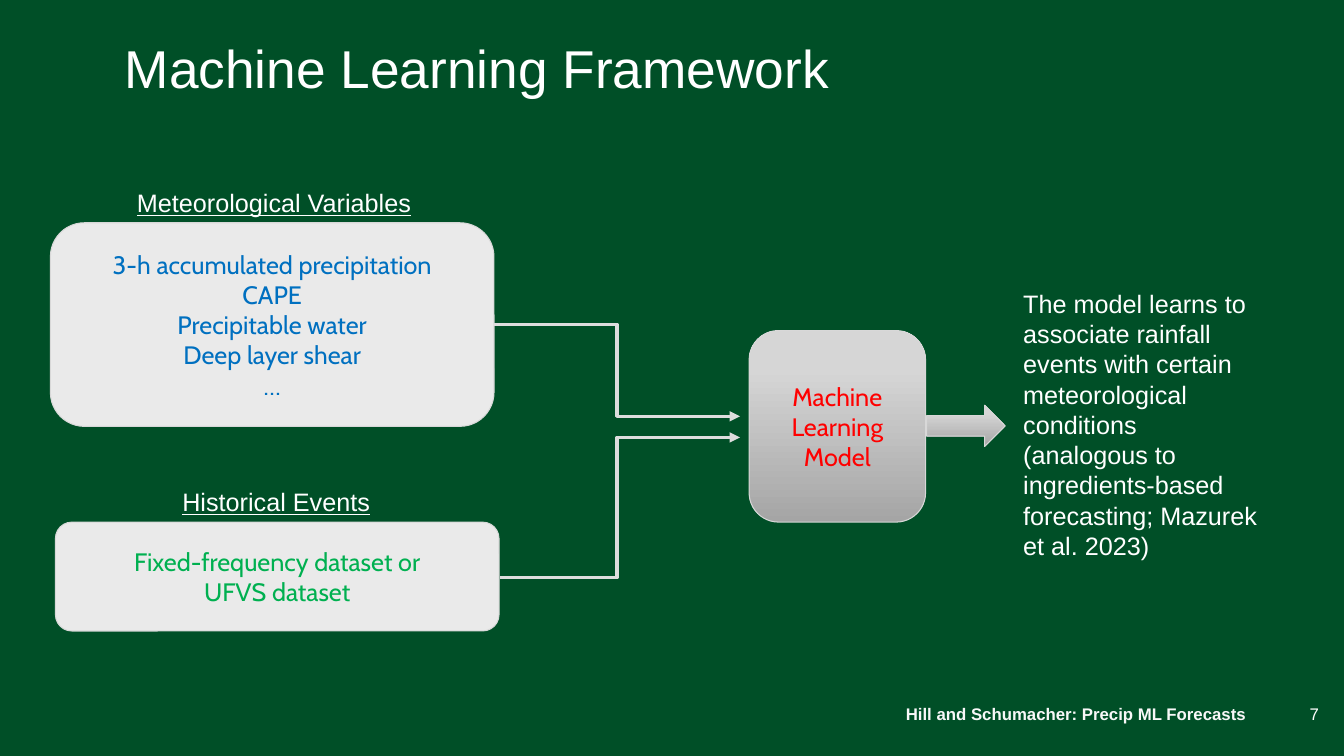
from dataclasses import dataclass
from lxml.etree import SubElement
from pptx import Presentation
from pptx.dml.color import RGBColor
from pptx.enum.shapes import MSO_CONNECTOR, MSO_SHAPE
from pptx.enum.text import MSO_ANCHOR, MSO_AUTO_SIZE, PP_ALIGN
from pptx.oxml.ns import qn
from pptx.shapes.autoshape import Shape
from pptx.slide import Slide
from pptx.util import Inches, Pt

GREEN_BACKGROUND = RGBColor(0x00, 0x4F, 0x27)
WHITE = RGBColor(0xFF, 0xFF, 0xFF)
OFF_WHITE = RGBColor(0xF8, 0xF8, 0xF8)
PANEL = RGBColor(0xEA, 0xEA, 0xEA)
OUTLINE = RGBColor(0xD8, 0xD8, 0xD8)
CONNECTOR = RGBColor(0xDD, 0xDD, 0xDD)
BLUE = RGBColor(0x00, 0x70, 0xC0)
GREEN = RGBColor(0x00, 0xB0, 0x50)
RED = RGBColor(0xFF, 0x00, 0x00)
METAL_STOPS = (
    (0, RGBColor(0xA5, 0xA5, 0xA5)),
    (80, RGBColor(0xD6, 0xD6, 0xD6)),
    (100, RGBColor(0xD7, 0xD7, 0xD7)),
)


@dataclass(frozen=True)
class Area:
    left: float
    top: float
    width: float
    height: float

    def lengths(self) -> tuple[Inches, Inches, Inches, Inches]:
        return Inches(self.left), Inches(self.top), Inches(self.width), Inches(self.height)


@dataclass(frozen=True)
class Label:
    area: Area
    lines: tuple[str, ...]
    size: int = 18
    color: RGBColor = WHITE
    bold: bool = False
    underline: bool = False
    align: PP_ALIGN = PP_ALIGN.LEFT
    anchor: MSO_ANCHOR = MSO_ANCHOR.TOP
    wrap: bool = True
    grow: bool = False


@dataclass(frozen=True)
class Block:
    area: Area
    kind: MSO_SHAPE
    lines: tuple[str, ...] = ()
    color: RGBColor = WHITE
    corner: float | None = None
    metal: bool = False


@dataclass(frozen=True)
class Elbow:
    begin: tuple[float, float]
    end: tuple[float, float]
    bend: int


LABELS = (
    Label(Area(1.14, -0.11, 11.06, 1.14), ("Machine Learning Framework",), size=38,
          anchor=MSO_ANCHOR.BOTTOM),
    Label(Area(4.82, 6.88, 7.64, 0.4), ("Hill and Schumacher: Precip ML Forecasts",), size=12,
          color=OFF_WHITE, bold=True, align=PP_ALIGN.RIGHT, anchor=MSO_ANCHOR.MIDDLE),
    Label(Area(12.46, 6.88, 0.72, 0.4), ("7",), size=12,
          align=PP_ALIGN.RIGHT, anchor=MSO_ANCHOR.MIDDLE),
    Label(Area(1.26, 1.81, 3.04, 0.4), ("Meteorological Variables",), underline=True, grow=True),
    Label(Area(1.71, 4.78, 2.08, 0.4), ("Historical Events",), underline=True, wrap=False,
          grow=True),
    Label(Area(10.05, 2.81, 2.55, 2.83), (
        "The model learns to associate rainfall events with certain meteorological conditions",
        "(analogous to ingredients-based forecasting; Mazurek et al. 2023)",
    ), grow=True),
)

BLOCKS = (
    Block(Area(0.5, 2.21, 4.4, 2.02), MSO_SHAPE.ROUNDED_RECTANGLE, (
        "3-h accumulated precipitation",
        "CAPE",
        "Precipitable water",
        "Deep layer shear",
        "…",
    ), BLUE),
    Block(Area(0.55, 5.18, 4.4, 1.08), MSO_SHAPE.ROUNDED_RECTANGLE,
          ("Fixed-frequency dataset or", "UFVS dataset"), GREEN, corner=0.15),
    Block(Area(7.43, 3.28, 1.75, 1.9), MSO_SHAPE.ROUNDED_RECTANGLE,
          ("Machine Learning Model",), RED, metal=True),
    Block(Area(9.19, 4.02, 0.78, 0.41), MSO_SHAPE.RIGHT_ARROW, metal=True),
)

ELBOWS = (
    Elbow((4.9, 3.22), (7.34, 4.13), 50000),
    Elbow((4.96, 5.73), (7.34, 4.34), 48800),
)


def write_lines(shape: Shape, lines: tuple[str, ...], font_name: str, size: int,
                color: RGBColor, align: PP_ALIGN, bold: bool = False,
                underline: bool = False) -> None:
    shape.text_frame.text = "\n".join(lines)
    for paragraph in shape.text_frame.paragraphs:
        paragraph.alignment = align
        for span in paragraph.runs:
            span.font.name = font_name
            span.font.size = Pt(size)
            span.font.color.rgb = color
            span.font.bold = bold
            span.font.underline = underline


def add_label(page: Slide, label: Label) -> None:
    box = page.shapes.add_textbox(*label.area.lengths())
    write_lines(box, label.lines, "Arial", label.size, label.color, label.align,
                label.bold, label.underline)
    frame = box.text_frame
    frame.word_wrap = label.wrap
    frame.vertical_anchor = label.anchor
    frame.auto_size = MSO_AUTO_SIZE.SHAPE_TO_FIT_TEXT if label.grow else MSO_AUTO_SIZE.NONE


def fill_metal(shape: Shape) -> None:
    shape.fill.gradient()
    shape.fill.gradient_angle = 90
    stops = shape._element.spPr.find(qn("a:gradFill")).find(qn("a:gsLst"))
    for stop in list(stops):
        stops.remove(stop)
    for percent, color in METAL_STOPS:
        stop = SubElement(stops, qn("a:gs"), pos=str(percent * 1000))
        SubElement(stop, qn("a:srgbClr"), val=str(color))


def add_block(page: Slide, block: Block) -> None:
    shape = page.shapes.add_shape(block.kind, *block.area.lengths())
    shape.shadow.inherit = False
    if block.corner is not None:
        shape.adjustments[0] = block.corner
    if block.metal:
        fill_metal(shape)
    else:
        shape.fill.solid()
        shape.fill.fore_color.rgb = PANEL
    shape.line.color.rgb = OUTLINE
    shape.line.width = Pt(0.75)
    if block.lines:
        write_lines(shape, block.lines, "Cabin", 18, block.color, PP_ALIGN.CENTER)
        shape.text_frame.word_wrap = True
        shape.text_frame.vertical_anchor = MSO_ANCHOR.MIDDLE


def add_elbow(page: Slide, elbow: Elbow) -> None:
    ends = [Inches(length) for length in (*elbow.begin, *elbow.end)]
    connector = page.shapes.add_connector(MSO_CONNECTOR.ELBOW, *ends)
    connector.line.color.rgb = CONNECTOR
    connector.line.width = Pt(2.5)
    SubElement(connector.line._get_or_add_ln(), qn("a:tailEnd"), type="triangle")
    properties = connector._element.spPr
    SubElement(properties, qn("a:effectLst"))
    guides = properties.find(qn("a:prstGeom")).find(qn("a:avLst"))
    SubElement(guides, qn("a:gd"), name="adj1", fmla=f"val {elbow.bend}")


def main() -> None:
    deck = Presentation()
    deck.slide_width = Inches(13.33)
    deck.slide_height = Inches(7.5)
    page = deck.slides.add_slide(deck.slide_layouts[6])
    page.background.fill.solid()
    page.background.fill.fore_color.rgb = GREEN_BACKGROUND
    for label in LABELS:
        add_label(page, label)
    for block in BLOCKS:
        add_block(page, block)
    for elbow in ELBOWS:
        add_elbow(page, elbow)
    deck.save("out.pptx")


if __name__ == "__main__":
    main()
